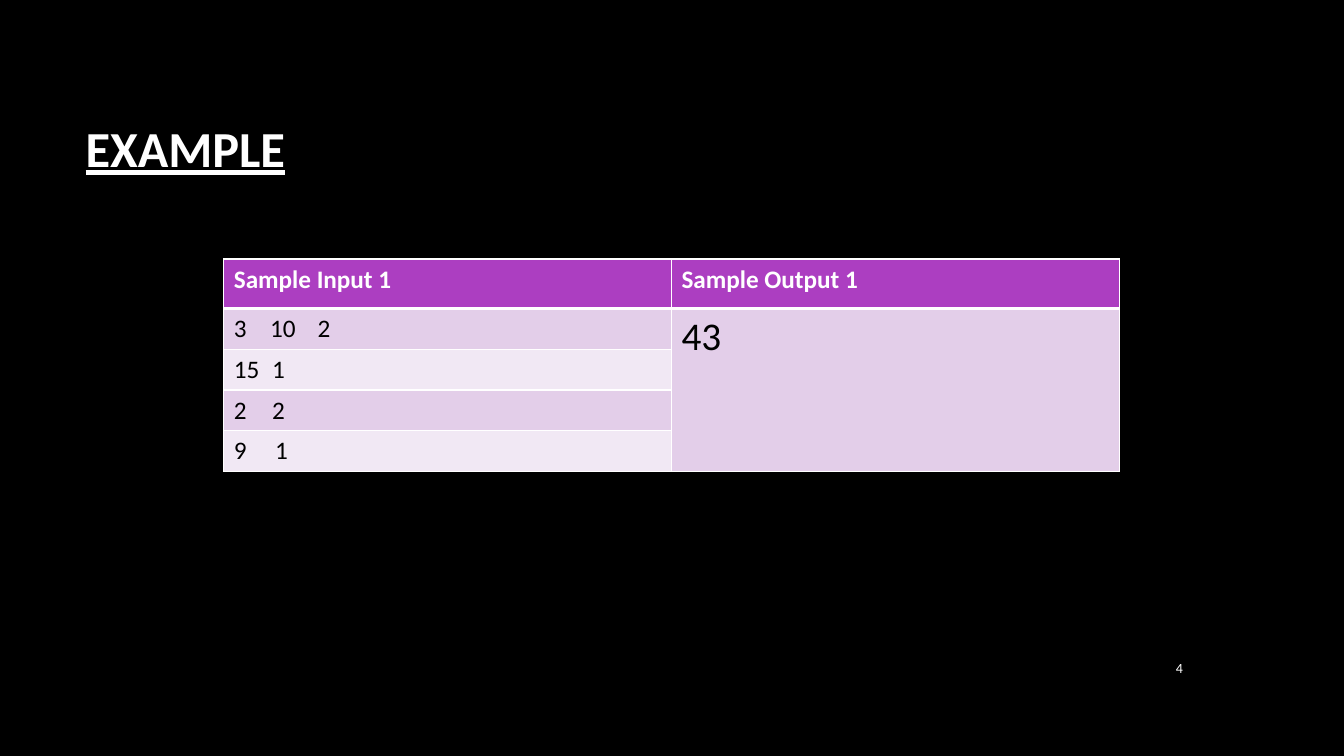
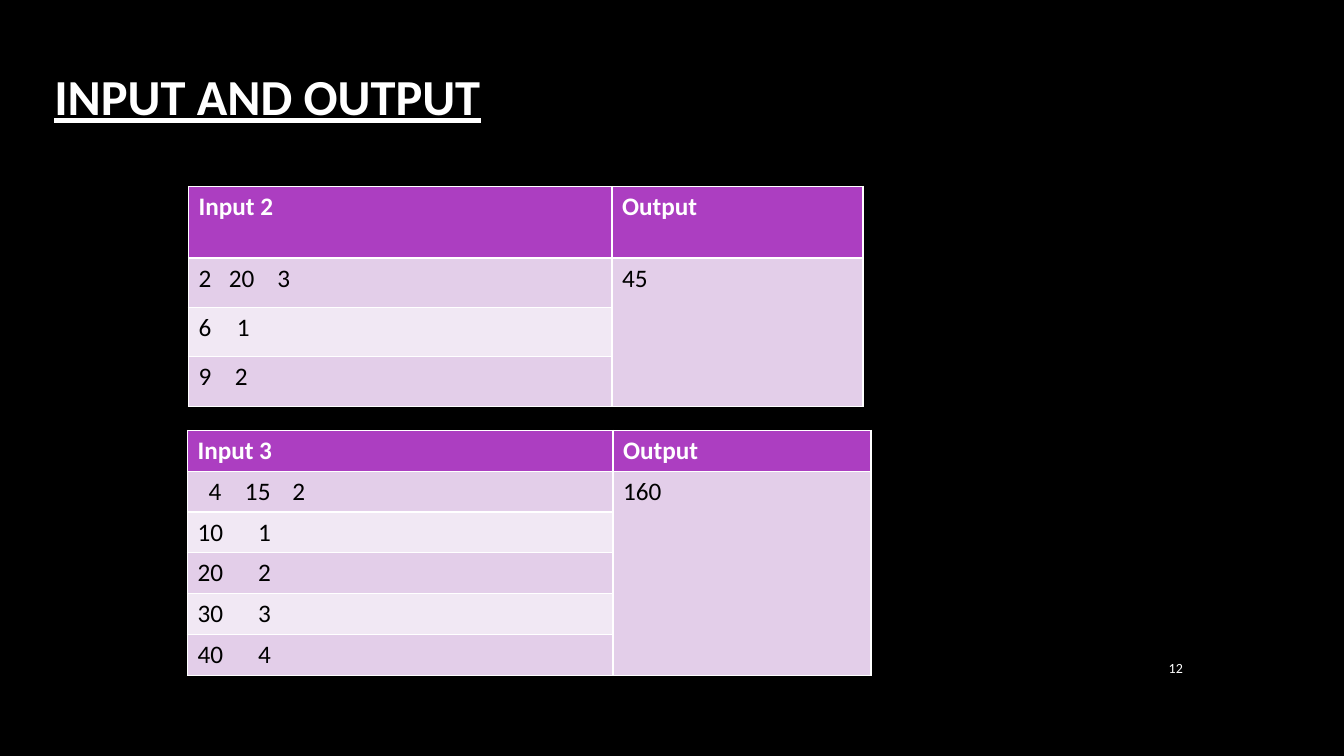
from lxml.etree import SubElement
from pptx import Presentation
from pptx.dml.color import RGBColor
from pptx.enum.text import MSO_ANCHOR, PP_ALIGN
from pptx.oxml.ns import qn
from pptx.util import Inches, Pt

MIDDLE = MSO_ANCHOR.MIDDLE
LEFT, RIGHT = PP_ALIGN.LEFT, PP_ALIGN.RIGHT
FACE = "Calibri"
HEX = {
    "back": "000000", "light": "FFFFFF", "dark": "000000",
    "head": "AC3EC1", "odd": "E3CEE9", "even": "F1E8F4",
}
PAGE = (11.23, 6.42, 0.6, 0.41)
INDENT = 0.38
SLIDES = [
    {
        "title": "EXAMPLE", "box": (0.75, 0.67, 11.08, 1.59), "page": "4",
        "tables": [
            {
                "at": (2.22, 2.57), "cols": (4.44, 4.44),
                "tall": (0.49, 1.62 / 4), "rule": 3,
                "heads": ("Sample Input 1", "Sample Output 1"),
                "rows": [
                    (None, "3\t10\t2", (0.36, 0.83)),
                    (15, "1", ()),
                    (2, "2", ()),
                    (None, "9\t1", (0.41,)),
                ],
                "result": "43", "size": 28,
            },
        ],
    },
    {
        "title": "INPUT AND OUTPUT", "box": (0.44, 0.22, 11.5, 1.45), "page": "12",
        "tables": [
            {
                "at": (1.87, 1.85), "cols": (4.2, 2.49),
                "tall": (0.71, 0.49), "rule": 1,
                "heads": ("Input 2", "Output"),
                "rows": [
                    (None, "2\t20\t3", (0.3, 0.78)),
                    (6, "1", ()),
                    (None, "9\t2", (0.36,)),
                ],
                "result": "45", "size": 18,
            },
            {
                "at": (1.86, 4.27), "cols": (4.22, 2.56),
                "tall": (2.43 / 6, 2.43 / 6), "rule": 1,
                "heads": ("Input 3", "Output"),
                "rows": [
                    (None, "\t4\t15\t2", (0.11, 0.47, 0.94)),
                    (10, "\t1", (0.6,)),
                    (20, "\t2", (0.6,)),
                    (None, "30\t3", (0.6,)),
                    (40, "\t4", (0.6,)),
                ],
                "result": "160", "size": 18,
            },
        ],
    },
]


def tint(name):
    return RGBColor.from_string(HEX[name])


def style(para, text, size, color, bold=False, line=False, align=LEFT):
    para.text = text
    para.alignment = align
    font = para.font
    font.name, font.size = FACE, Pt(size)
    font.bold, font.underline = bold, line
    font.color.rgb = tint(color)


def add_text(slide, box, *args, **kinds):
    frame = slide.shapes.add_textbox(*map(Inches, box)).text_frame
    frame.word_wrap = True
    frame.vertical_anchor = MIDDLE
    style(frame.paragraphs[0], *args, **kinds)


def set_list(para, start, stops):
    props = para._p.get_or_add_pPr()
    tabs = SubElement(props, qn("a:tabLst"))
    props.insert(0, tabs)
    for stop in stops:
        SubElement(tabs, qn("a:tab"), pos=str(Inches(stop)), algn="l")
    if start is not None:
        props.set("marL", str(Inches(INDENT)))
        props.set("indent", str(-Inches(INDENT)))
        mark = SubElement(props, qn("a:buAutoNum"),
                          type="arabicPlain", startAt=str(start))
        props.insert(0, mark)


def paint(cell, fill, top=1, base=1):
    props = cell._tc.get_or_add_tcPr()
    for side, width in zip("LRTB", (1, 1, top, base)):
        edge = SubElement(props, qn("a:ln" + side), w=str(Pt(width)))
        solid = SubElement(edge, qn("a:solidFill"))
        SubElement(solid, qn("a:srgbClr"), val=HEX["light"])
    cell.fill.solid()
    cell.fill.fore_color.rgb = tint(fill)


def add_grid(slide, data):
    rows, rule = data["rows"], data["rule"]
    head, body = data["tall"]
    talls = [head] + [body] * len(rows)
    size = (sum(data["cols"]), sum(talls))
    grid = slide.shapes.add_table(
        len(talls), 2, *map(Inches, data["at"] + size)).table
    grid.first_row = grid.horz_banding = False
    for col, width in zip(grid.columns, data["cols"]):
        col.width = Inches(width)
    for row, tall in zip(grid.rows, talls):
        row.height = Inches(tall)
    for c, text in enumerate(data["heads"]):
        cell = grid.cell(0, c)
        paint(cell, "head", base=rule)
        style(cell.text_frame.paragraphs[0], text, 18, "light", bold=True)
    for r, (start, text, stops) in enumerate(rows, 1):
        cell = grid.cell(r, 0)
        top = rule if r == 1 else 1
        paint(cell, "odd" if r % 2 else "even", top=top)
        paint(grid.cell(r, 1), "odd", top=top)
        para = cell.text_frame.paragraphs[0]
        style(para, text, 18, "dark")
        set_list(para, start, stops)
    cell = grid.cell(1, 1)
    cell.merge(grid.cell(len(rows), 1))
    style(cell.text_frame.paragraphs[0], data["result"], data["size"], "dark")


def main():
    deck = Presentation()
    deck.slide_width, deck.slide_height = Inches(13.33), Inches(7.5)
    back = deck.slide_master.background.fill
    back.solid()
    back.fore_color.rgb = tint("back")
    for data in SLIDES:
        slide = deck.slides.add_slide(deck.slide_layouts[6])
        add_text(slide, data["box"], data["title"], 36, "light",
                 bold=True, line=True)
        for table in data["tables"]:
            add_grid(slide, table)
        add_text(slide, PAGE, data["page"], 10, "light", align=RIGHT)
    deck.save("out.pptx")


if __name__ == "__main__":
    main()
